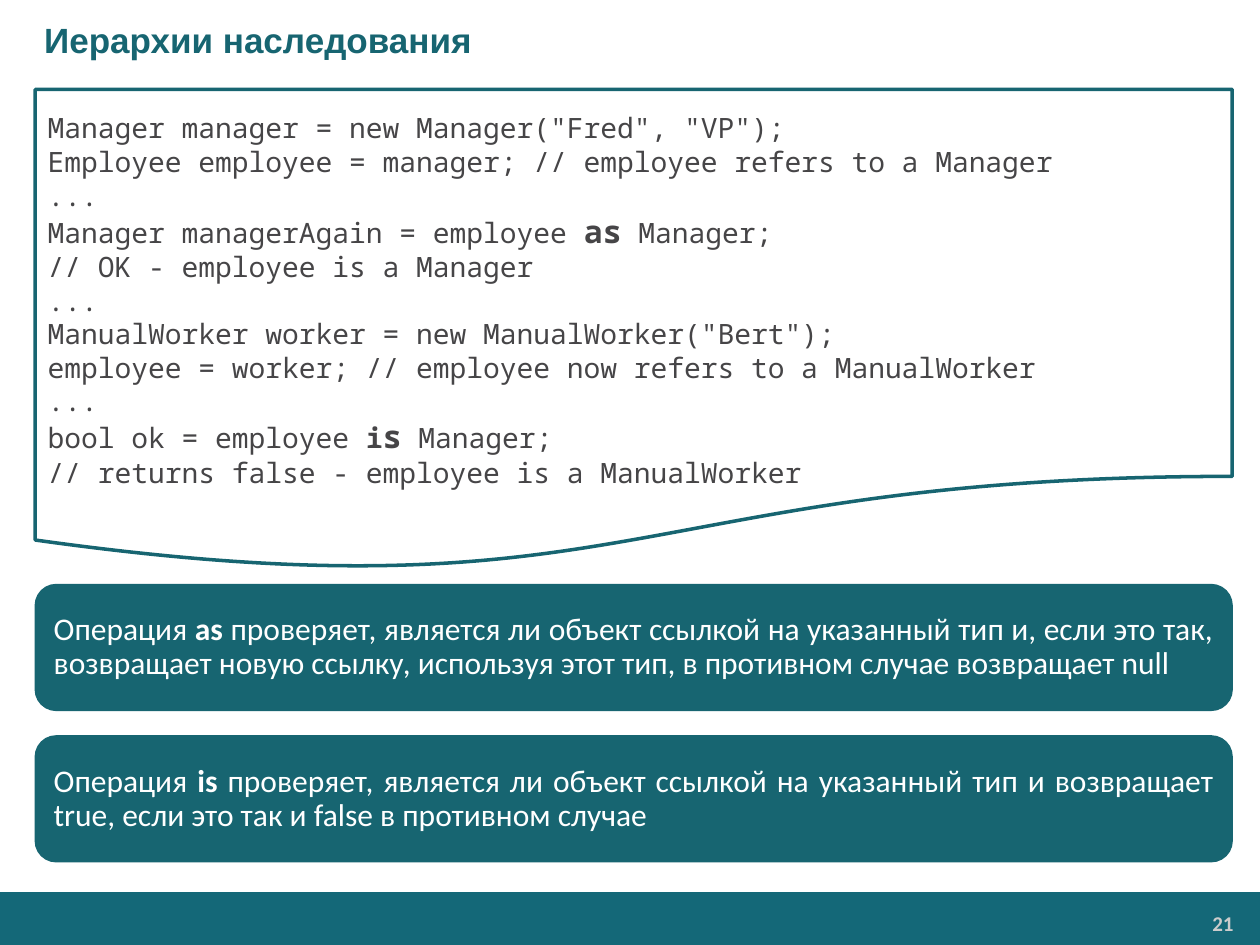
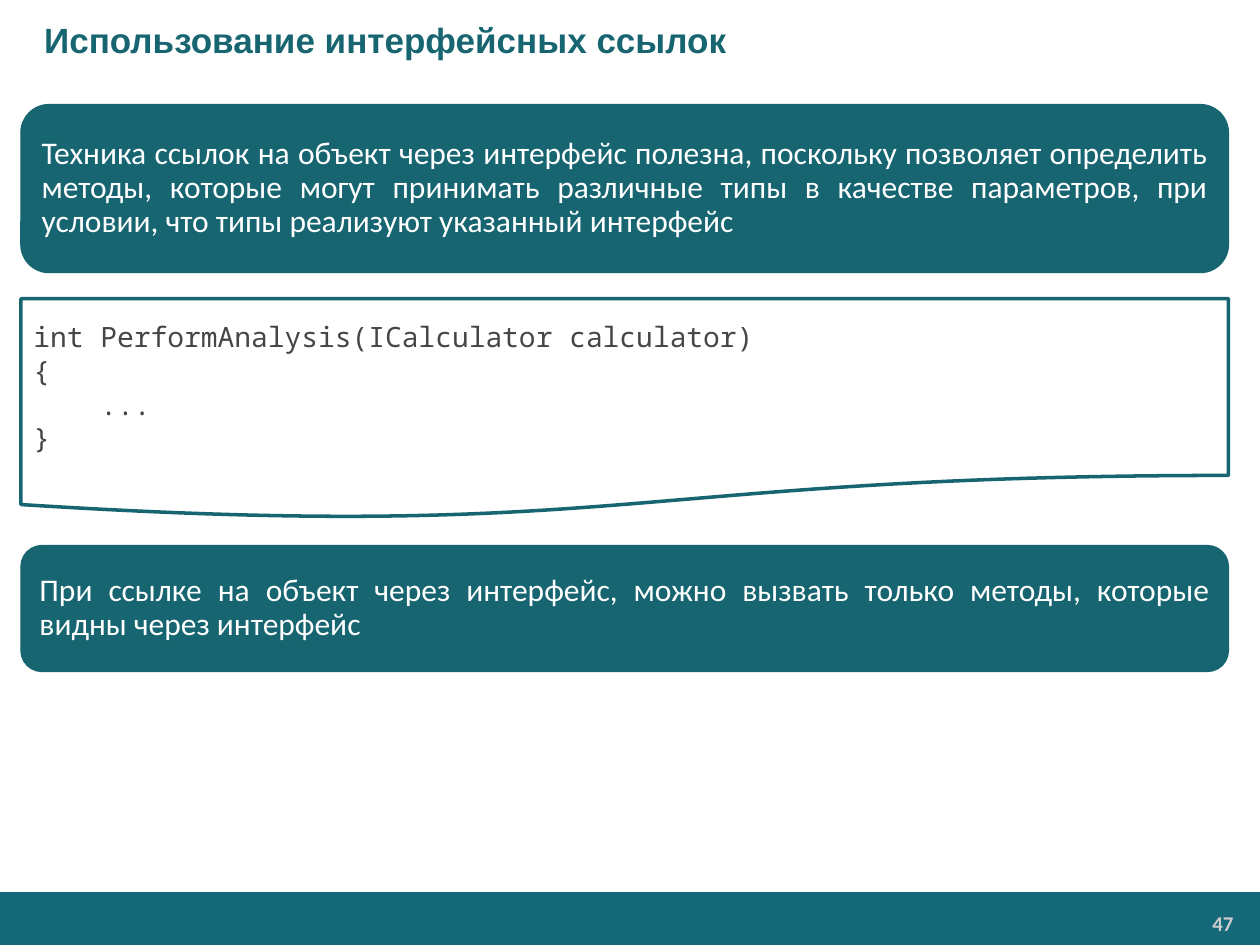
"""Build two slides on C# inheritance hierarchies and interface references."""
from pptx import Presentation
from pptx.dml.color import RGBColor
from pptx.enum.shapes import MSO_SHAPE
from pptx.enum.text import MSO_ANCHOR, MSO_AUTO_SIZE, PP_ALIGN
from pptx.util import Pt

COLORS = {"band": "146878", "teal": "176571", "code": "464547", "white": "FFFFFF", "number": "CCCCCC"}
STYLES = {
    "code": dict(outline=MSO_SHAPE.FLOWCHART_DOCUMENT, fill="white", border=2, font="Noto Sans Mono",
                 size=16, ink="code", align=PP_ALIGN.LEFT, spacing=1.0),
    "note": dict(outline=MSO_SHAPE.ROUNDED_RECTANGLE, fill="teal", border=0.75, font="Calibri",
                 size=18, ink="white", align=PP_ALIGN.JUSTIFY, spacing=0.9),
}

# A block is (style, top, height, extra top inset, lines); a (text, size) pair in a line is bold.
SLIDES = [
    dict(title="Иерархии наследования", number="21", left=20.16, width=684, blocks=[
        ("code", 51.12, 275.76, 19.4, [
            ['Manager manager = new Manager("Fred", "VP");'],
            ["Employee employee = manager; // employee refers to a Manager"],
            ["..."],
            ["Manager managerAgain = employee ", ("as", 18), " Manager;"],
            ["// OK - employee is a Manager"],
            ["..."],
            ['ManualWorker worker = new ManualWorker("Bert");'],
            ["employee = worker; // employee now refers to a ManualWorker"],
            ["..."],
            ["bool ok = employee ", ("i", 16), ("s", 18), " Manager;"],
            ["// returns false - employee is a ManualWorker"],
        ]),
        ("note", 334, 72, 0, [
            ["Операция ", ("as", 18), " проверяет, является ли объект ссылкой на указанный тип и, если это так, "
             "возвращает новую ссылку, используя этот тип, в противном случае возвращает null"],
        ]),
        ("note", 420.5, 72, 0, [
            ["Операция ", ("is", 18), " проверяет, является ли объект ссылкой на указанный тип и возвращает true, "
             "если это так и false в противном случае"],
        ]),
    ]),
    dict(title="Использование интерфейсных ссылок", number="47", left=12, width=690, blocks=[
        ("code", 170.64, 126, 0, [
            ["int PerformAnalysis(ICalculator calculator)"],
            ["{"],
            ["    ..."],
            ["}"],
        ]),
        ("note", 59.76, 96, 0, [
            ["Техника ссылок на объект через интерфейс полезна, поскольку позволяет определить методы, которые "
             "могут принимать различные типы в качестве параметров, при условии, что типы реализуют указанный "
             "интерфейс"],
        ]),
        ("note", 311.76, 72, 0, [
            ["При ссылке на объект через интерфейс, можно вызвать только методы, которые видны через интерфейс"],
        ]),
    ]),
]


def set_font(font, name, size, color, bold=False):
    font.name = name
    font.size = Pt(size)
    font.bold = bold
    font.color.rgb = RGBColor.from_string(COLORS[color])


def add_panel(slide, outline, left, top, width, height, fill, line, border):
    panel = slide.shapes.add_shape(outline, Pt(left), Pt(top), Pt(width), Pt(height))
    panel.shadow.inherit = False
    panel.fill.solid()
    panel.fill.fore_color.rgb = RGBColor.from_string(COLORS[fill])
    if border:
        panel.line.color.rgb = RGBColor.from_string(COLORS[line])
        panel.line.width = Pt(border)
    else:
        panel.line.fill.background()
    return panel


deck = Presentation()
deck.slide_width, deck.slide_height = Pt(720), Pt(540)

for content in SLIDES:
    slide = deck.slides.add_slide(deck.slide_layouts[5])
    add_panel(slide, MSO_SHAPE.RECTANGLE, 0, 509.76, 720, 30.24, "band", "band", 0)

    page_number = slide.shapes.add_textbox(Pt(592.56), Pt(517.68), Pt(117.36), Pt(20.16)).text_frame
    page_number.word_wrap = True
    page_number.margin_left = page_number.margin_right = Pt(5)
    page_number.margin_top = page_number.margin_bottom = Pt(2.88)
    page_number.text = content["number"]
    page_number.paragraphs[0].alignment = PP_ALIGN.RIGHT
    set_font(page_number.paragraphs[0].runs[0].font, "Calibri", 12, "number", True)

    heading = slide.shapes.title
    heading.left, heading.top, heading.width, heading.height = Pt(0), Pt(0), Pt(720), Pt(45.36)
    heading_text = heading.text_frame
    heading_text.text = content["title"]
    heading_text.auto_size = MSO_AUTO_SIZE.NONE
    heading_text.vertical_anchor = MSO_ANCHOR.MIDDLE
    heading_text.margin_left = Pt(25.2)
    heading_text.paragraphs[0].alignment = PP_ALIGN.LEFT
    set_font(heading_text.paragraphs[0].runs[0].font, "Arial", 20, "teal", True)

    for kind, top, height, extra_inset, lines in content["blocks"]:
        style = STYLES[kind]
        panel = add_panel(slide, style["outline"], content["left"], top, content["width"], height,
                          style["fill"], "teal", style["border"])
        body = panel.text_frame
        body.word_wrap = True
        body.vertical_anchor = MSO_ANCHOR.MIDDLE
        body.margin_top = Pt(3.6 + extra_inset)
        for index, line in enumerate(lines):
            paragraph = body.add_paragraph() if index else body.paragraphs[0]
            paragraph.alignment = style["align"]
            paragraph.line_spacing = style["spacing"]
            for piece in line:
                bold = isinstance(piece, tuple)
                words, size = piece if bold else (piece, style["size"])
                run = paragraph.add_run()
                run.text = words
                set_font(run.font, style["font"], size, style["ink"], bold)

deck.save("out.pptx")
